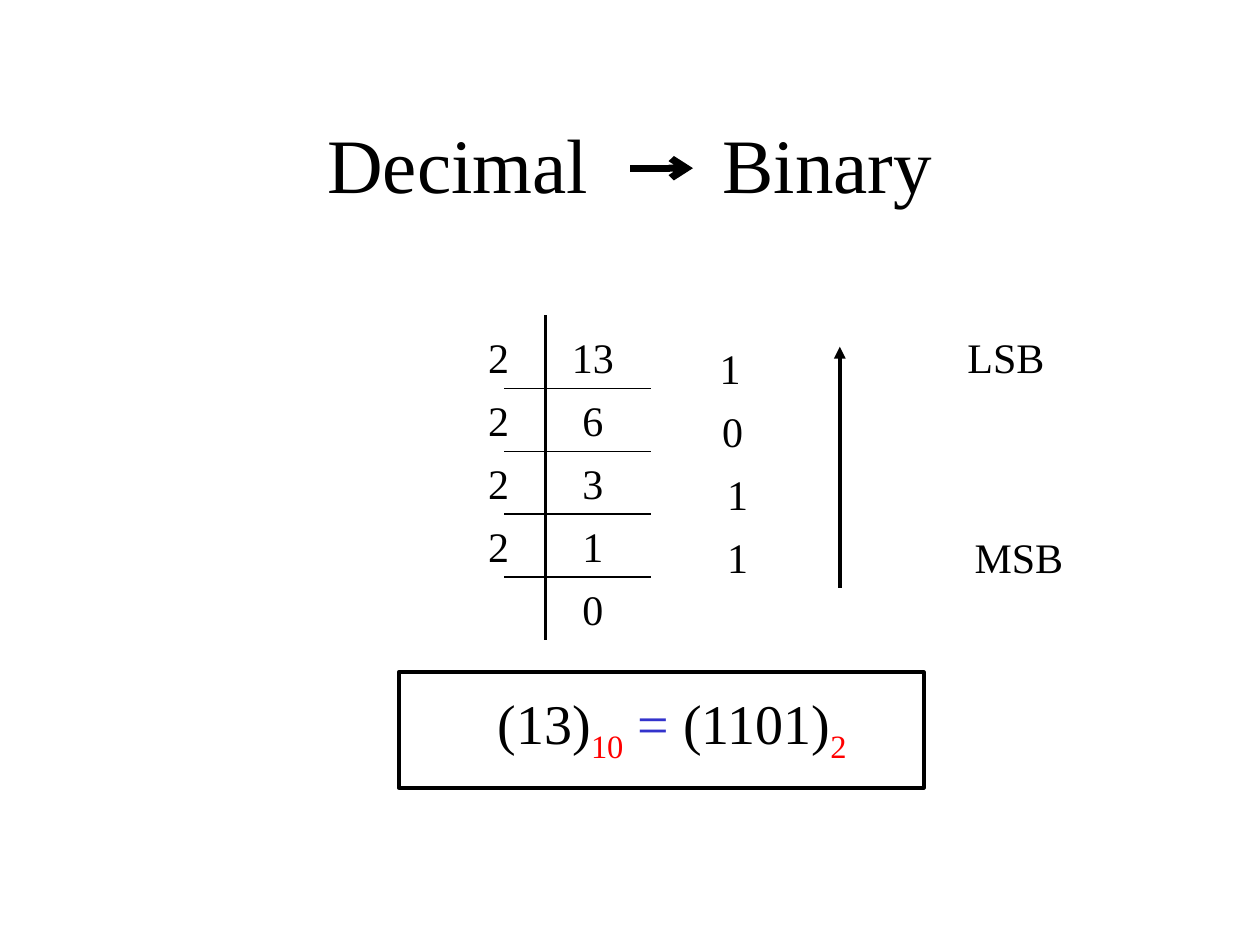
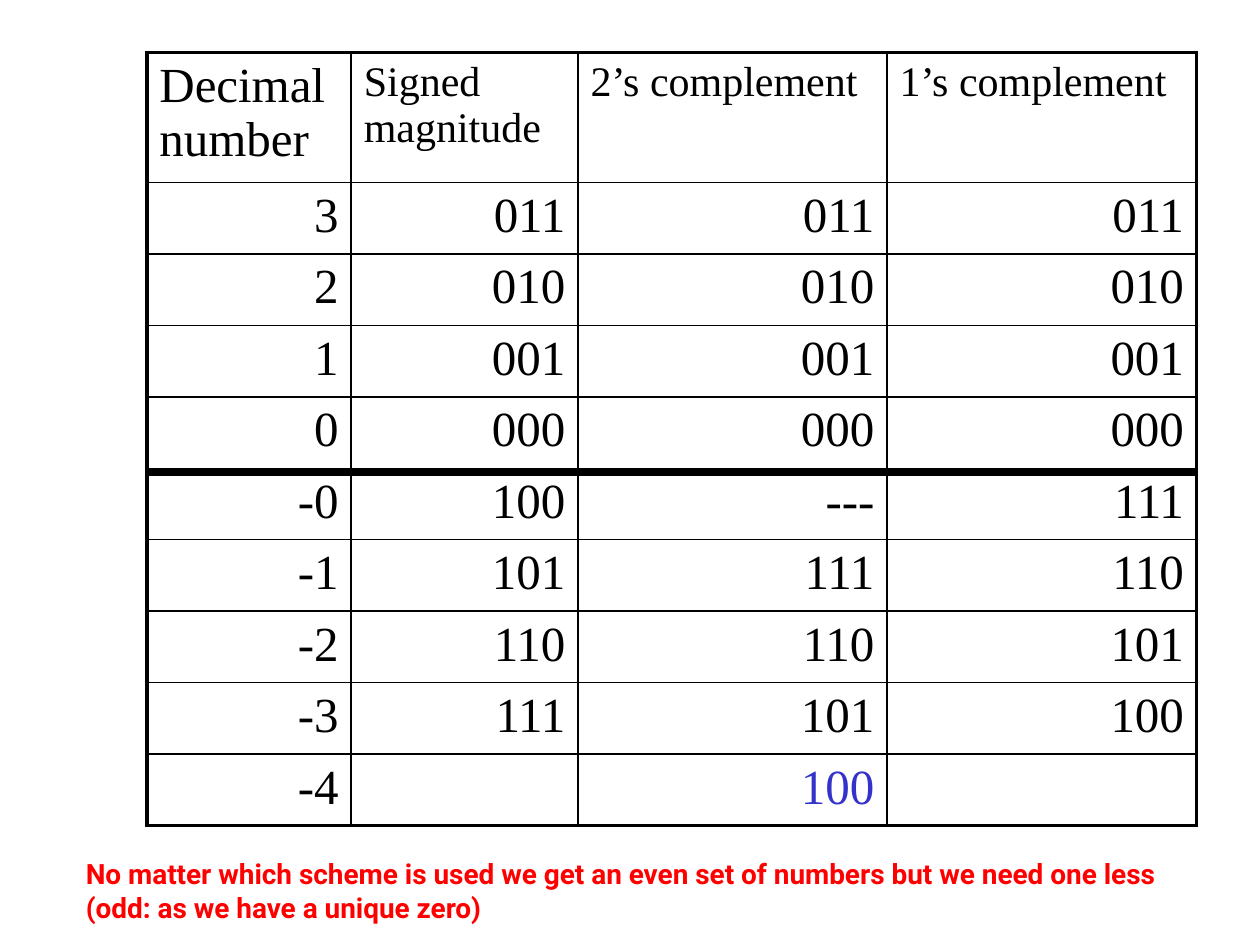
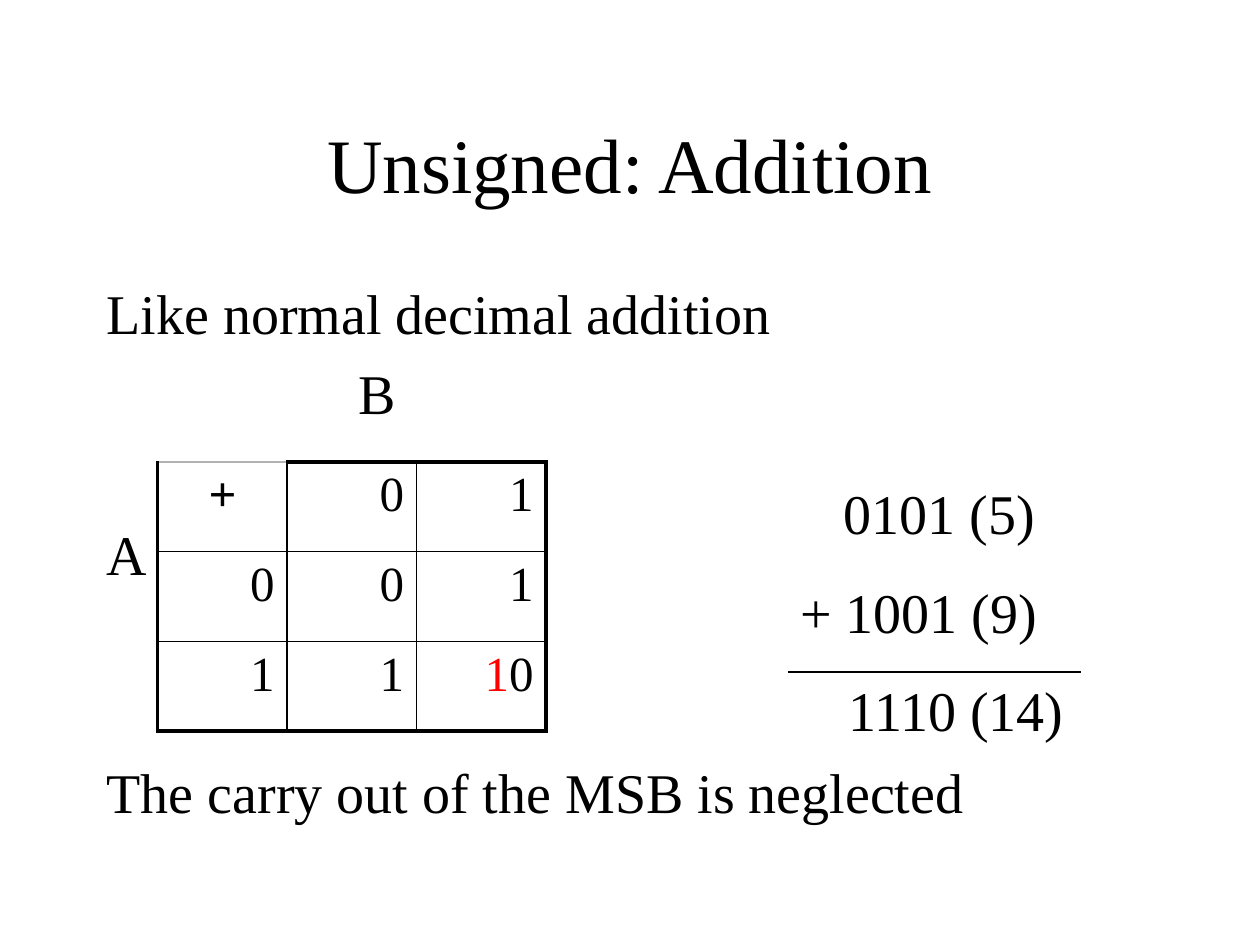
"""Build three slides on binary numbers: conversion, signed schemes and addition."""
from dataclasses import dataclass

from lxml import etree
from pptx import Presentation
from pptx import util as u
from pptx.dml.color import RGBColor
from pptx.enum import shapes, text
from pptx.oxml.ns import qn


@dataclass(frozen=True)
class Theme:
    serif: str = "Times New Roman"
    sans: str = "Roboto"
    ink: str = "000000"
    red: str = "FF0000"
    blue: str = "3333CC"
    grey: str = "B2B2B2"
    title: float = 44
    body: float = 32
    cell: float = 28
    label: float = 24
    note: float = 16
    thin: float = 1
    medium: float = 1.5
    thick: float = 2.25


T = Theme()
LEFT, CENTER, RIGHT = text.PP_ALIGN.LEFT, text.PP_ALIGN.CENTER, text.PP_ALIGN.RIGHT

DIVISIONS = [("2", "13"), ("2", "6"), ("2", "3"), ("2", "1"), ("", "0")]
REMAINDERS = [("1", 13.77), ("0", 13.82), ("1", 13.92), ("1", 13.92)]
BIT_ENDS = [("LSB", 18.59, 6.56), ("MSB", 18.85, 10.59)]
RESULT = [("(13)", T.ink, 0), ("10", T.red, -25), (" = ", T.blue, 0),
          ("(1101)", T.ink, 0), ("2", T.red, -25)]

SCHEMES = [
    ["Decimal number", "Signed magnitude", "2’s complement", "1’s complement"],
    ["3", "011", "011", "011"],
    ["2", "010", "010", "010"],
    ["1", "001", "001", "001"],
    ["0", "000", "000", "000"],
    ["-0", "100", "---", "111"],
    ["-1", "101", "111", "110"],
    ["-2", "110", "110", "101"],
    ["-3", "111", "101", "100"],
    ["-4", "", [("100", T.blue, 0)], ""],
]
SCHEME_NOTE = ("No matter which scheme is used we get an even set of numbers "
               "but we need one less (odd: as we have a unique zero)")

ADDITION = [
    ["+", "0", "1"],
    ["0", "0", "1"],
    ["1", "1", [("1", T.red, 0), ("0", T.ink, 0)]],
]
ADDITION_LINES = [("Like normal decimal addition", 0, 0), ("B", 5.08, 7.2),
                  ("A", 0, 53.5), ("The carry out of the MSB is neglected", 0, 97.5)]
SUM_LINES = [("0101 (5)", 2.58, 0), ("+ 1001 (9)", 1.7, 17.8), ("1110 (14)", 2.67, 17.8)]


def write(frame, content, *, size=T.label, font=T.serif, color=T.ink, bold=False,
          align=LEFT, indent=0, before=0, tab=None):
    """Add one paragraph of plain text or (text, colour, baseline) runs."""
    paragraph = frame.paragraphs[0]
    if paragraph.runs:
        paragraph = frame.add_paragraph()
    paragraph.alignment = align
    if before:
        paragraph.space_before = u.Pt(before)
    properties = paragraph._p.get_or_add_pPr()
    if indent:
        properties.set("marL", str(u.Cm(indent)))
    if tab:
        stops = etree.SubElement(properties, qn("a:tabLst"))
        etree.SubElement(stops, qn("a:tab"), pos=str(u.Cm(tab)), algn="l")
    runs = [(content, color, 0)] if isinstance(content, str) else content
    for words, ink, baseline in runs:
        run = paragraph.add_run()
        run.text = words
        run.font.name, run.font.size, run.font.bold = font, u.Pt(size), bold
        run.font.color.rgb = RGBColor.from_string(ink)
        if baseline:
            run.font._element.set("baseline", str(baseline * 1000))


def add_frame(slide, left, top, width, height):
    frame = slide.shapes.add_textbox(*map(u.Cm, (left, top, width, height))).text_frame
    frame.word_wrap = True
    return frame


def add_title(slide, words, inset=0.25, **fmt):
    frame = add_frame(slide, 1.9, 1.7, 21.6, 3.18)
    frame.vertical_anchor = text.MSO_ANCHOR.MIDDLE
    frame.margin_left = u.Cm(inset)
    write(frame, words, size=T.title, **fmt)


def add_line(slide, x1, y1, x2, y2, weight, head=None):
    line = slide.shapes.add_connector(shapes.MSO_CONNECTOR.STRAIGHT,
                                      *map(u.Cm, (x1, y1, x2, y2)))
    line.line.color.rgb = RGBColor.from_string(T.ink)
    line.line.width = u.Pt(weight)
    if head:
        etree.SubElement(line.line._get_or_add_ln(), qn("a:tailEnd"), type=head)
    etree.SubElement(line._element.spPr, qn("a:effectLst"))


def set_borders(cell, edges):
    properties = cell._tc.get_or_add_tcPr()
    for place, (side, (color, weight)) in enumerate(edges.items()):
        border = etree.Element(qn(f"a:ln{side}"), w=str(u.Pt(weight)))
        fill = etree.SubElement(border, qn("a:solidFill"))
        etree.SubElement(fill, qn("a:srgbClr"), val=color)
        properties.insert(place, border)


def add_grid(slide, rows, left, top, widths, heights, cell_format, corner_top=None):
    table = slide.shapes.add_table(len(rows), len(widths), u.Cm(left), u.Cm(top),
                                   u.Cm(sum(widths)), u.Cm(sum(heights))).table
    table.first_row = table.horz_banding = False
    for column, width in zip(table.columns, widths):
        column.width = u.Cm(width)
    for r, (row, height) in enumerate(zip(rows, heights)):
        table.rows[r].height = u.Cm(height)
        for c, content in enumerate(row):
            cell = table.cell(r, c)
            cell.fill.background()
            outer = {"L": c == 0, "R": c == len(widths) - 1,
                     "T": r == 0, "B": r == len(rows) - 1}
            edges = {side: (T.ink, T.thick if is_outer else T.thin)
                     for side, is_outer in outer.items()}
            if corner_top and r == c == 0:
                edges["T"] = corner_top
            set_borders(cell, edges)
            if content:
                write(cell.text_frame, content, **cell_format(r, c))


def scheme_format(row, column):
    if row:
        return {"size": T.cell, "align": RIGHT}
    return {"size": T.label if column else T.cell}


def addition_format(row, column):
    is_plus = row == column == 0
    return {"size": T.cell, "bold": is_plus, "align": CENTER if is_plus else RIGHT}


def build_conversion(slide):
    top, step, width = 6.56, 1.27, 1.9
    add_title(slide, "Decimal\tBinary", inset=4.7, tab=7.97)
    add_line(slide, 11, 6.35, 11, 12.91, T.medium)
    for row, (divisor, quotient) in enumerate(DIVISIONS):
        y = top + row * step
        write(add_frame(slide, 11, y, width, step), quotient, align=CENTER)
        if divisor:
            write(add_frame(slide, 9.1, y, width, step), divisor, align=CENTER)
            add_line(slide, 10.16, y + step, 13.12, y + step, T.thin)
    for row, (remainder, x) in enumerate(REMAINDERS):
        write(add_frame(slide, x, 6.78 + row * step, width, step), remainder, align=CENTER)
    add_line(slide, 16.93, 11.85, 16.93, 6.99, T.thick, "triangle")
    for bit, x, y in BIT_ENDS:
        write(add_frame(slide, x, y, 3.38, step), bit, align=CENTER)
    write(add_frame(slide, 3.18, 13.76, 20.74, 1.6), RESULT, size=T.body, align=CENTER)
    result_box = slide.shapes.add_shape(shapes.MSO_SHAPE.RECTANGLE,
                                        *map(u.Cm, (8.04, 13.55, 10.58, 2.33)))
    result_box.shadow.inherit = False
    result_box.fill.background()
    result_box.line.color.rgb = RGBColor.from_string(T.ink)
    result_box.line.width = u.Pt(T.thick)
    add_line(slide, 12.7, 3.39, 13.97, 3.39, 4, "arrow")


def build_schemes(slide):
    add_grid(slide, SCHEMES, 2.96, 1.06, [4.12, 4.57, 6.23, 6.24],
             [2.62] + [1.44] * (len(SCHEMES) - 1), scheme_format)
    add_line(slide, 2.96, 9.52, 24.13, 9.52, 4.5)
    write(add_frame(slide, 1.48, 17.15, 23.5, 1.63), SCHEME_NOTE,
          size=T.note, font=T.sans, color=T.red, bold=True)


def build_addition(slide):
    add_title(slide, "Unsigned: Addition", align=CENTER)
    for lines, place in ((ADDITION_LINES, (1.9, 5.5, 21.6, 11.43)),
                         (SUM_LINES, (14.18, 9.53, 8.68, 5.66))):
        frame = add_frame(slide, *place)
        for words, indent, before in lines:
            write(frame, words, size=T.body, indent=indent, before=before)
    add_grid(slide, ADDITION, 3.18, 9.31, [2.61] * 3, [1.81] * 3, addition_format,
             corner_top=(T.grey, T.thin))
    add_line(slide, 15.88, 13.55, 21.8, 13.55, T.medium)


def main():
    deck = Presentation()
    deck.slide_width, deck.slide_height = u.Cm(25.4), u.Cm(19.05)
    for build in (build_conversion, build_schemes, build_addition):
        build(deck.slides.add_slide(deck.slide_layouts[6]))
    deck.save("out.pptx")


if __name__ == "__main__":
    main()
